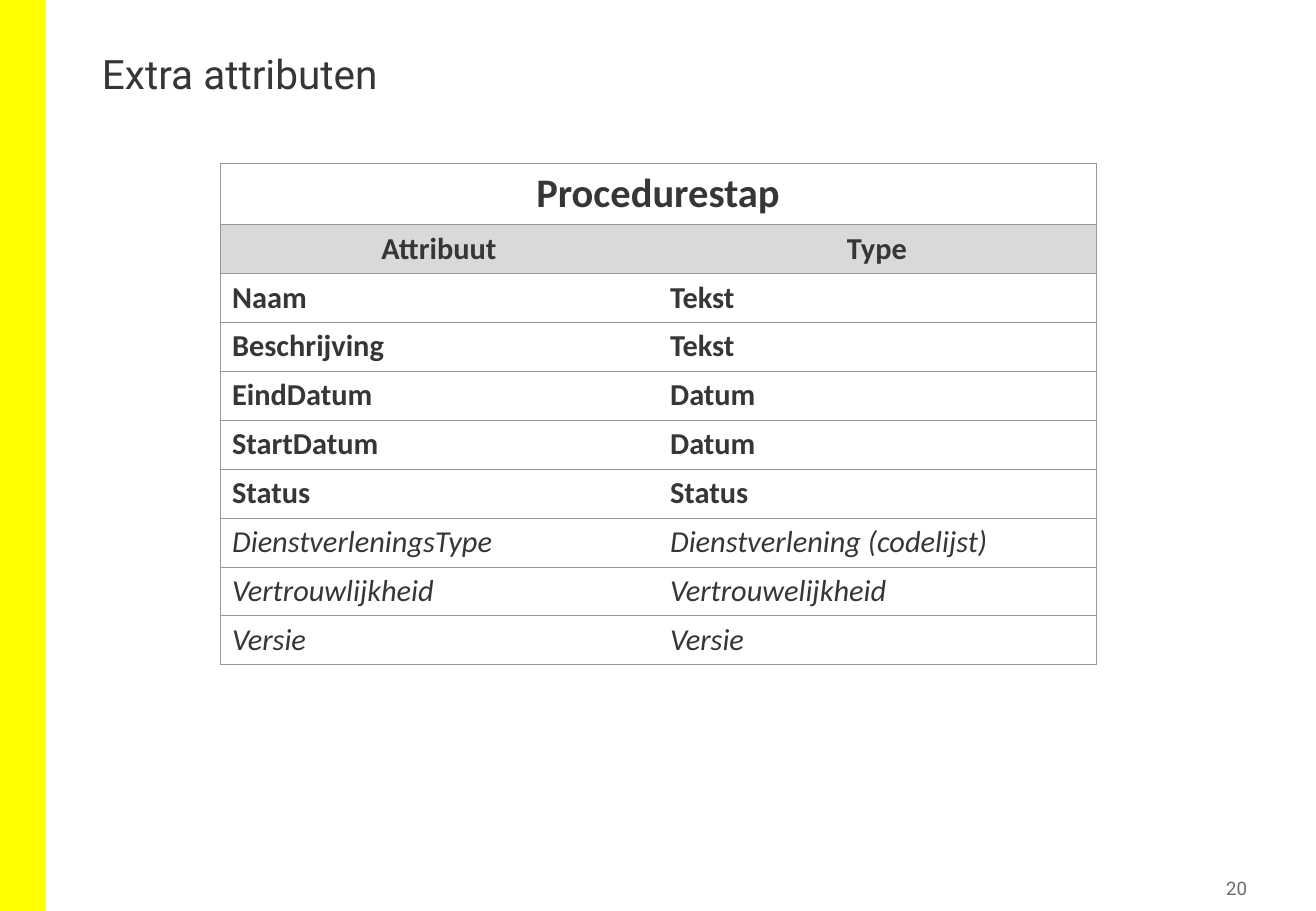
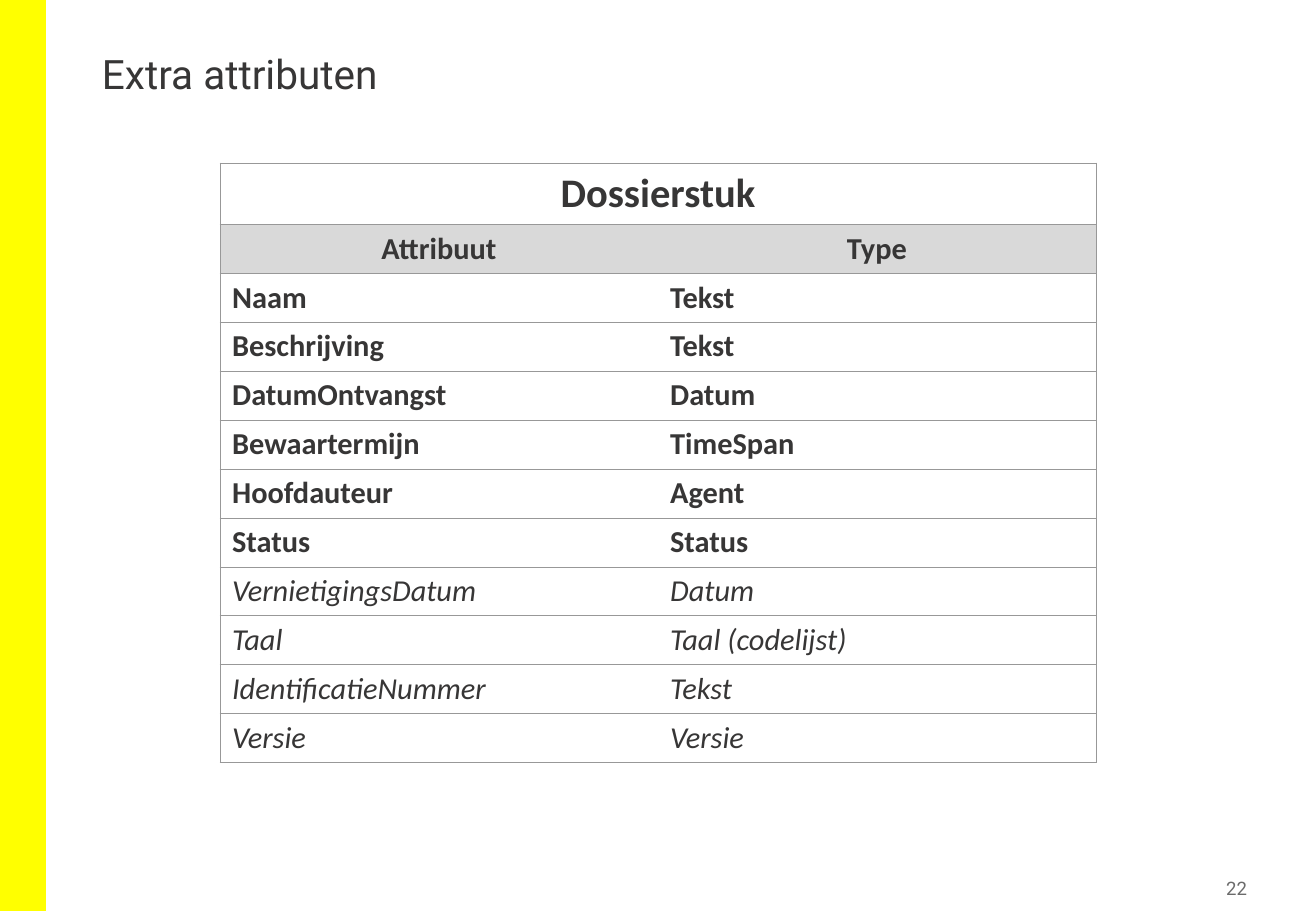
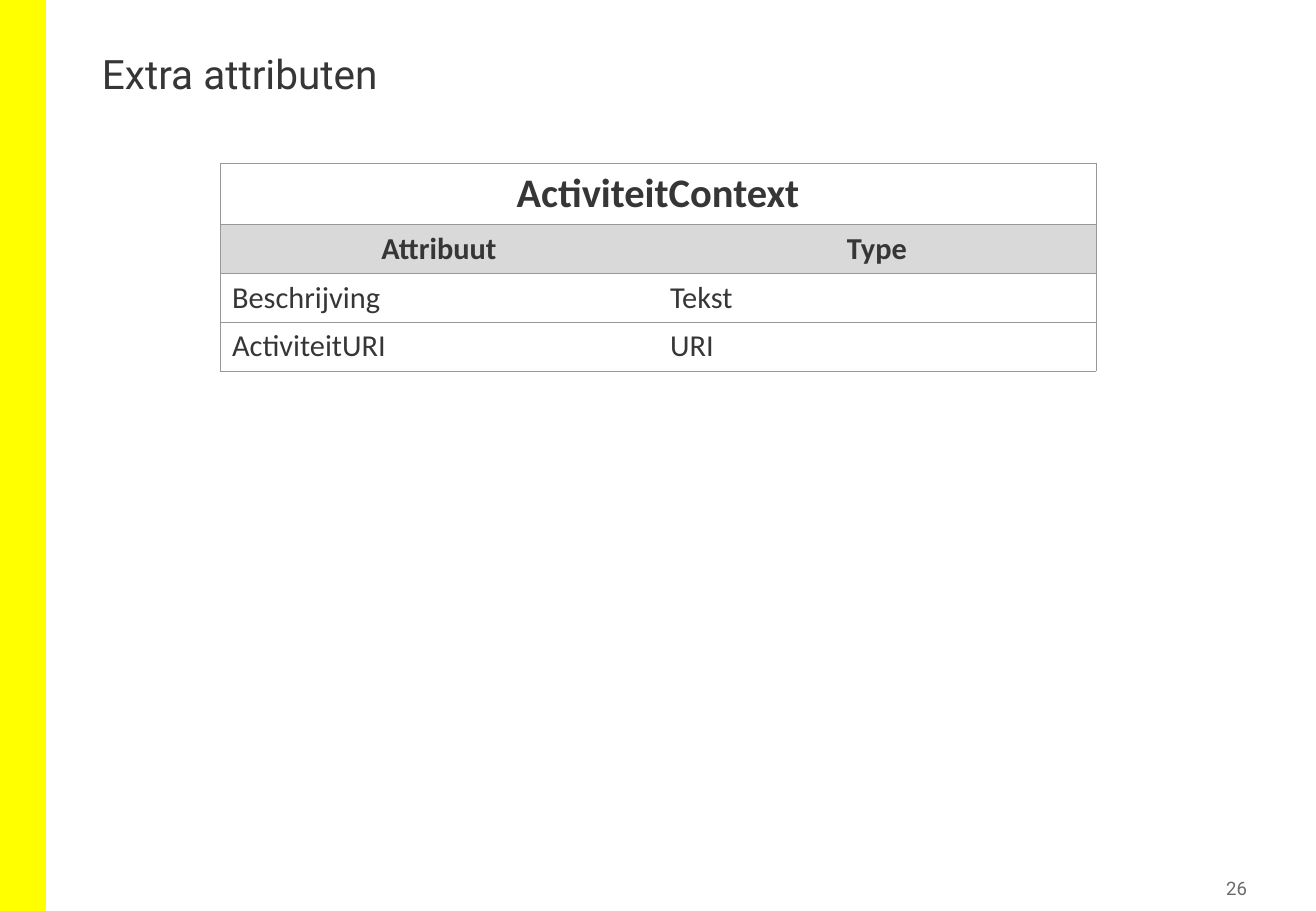
"""Build three slides, each with one table of extra attributes."""
import pptx
import pptx.dml.color
import pptx.enum.shapes
import pptx.enum.text
import pptx.oxml.ns
import pptx.util
import lxml.etree

TITLE = "Extra attributen"
HEADINGS = ("Attribuut", "Type")
TABLES = [
    {
        "number": 20,
        "name": "Procedurestap",
        "bold": [
            ("Naam", "Tekst"),
            ("Beschrijving", "Tekst"),
            ("EindDatum", "Datum"),
            ("StartDatum", "Datum"),
            ("Status", "Status"),
        ],
        "italic": [
            ("DienstverleningsType", "Dienstverlening (codelijst)"),
            ("Vertrouwlijkheid", "Vertrouwelijkheid"),
            ("Versie", "Versie"),
        ],
    },
    {
        "number": 22,
        "name": "Dossierstuk",
        "bold": [
            ("Naam", "Tekst"),
            ("Beschrijving", "Tekst"),
            ("DatumOntvangst", "Datum"),
            ("Bewaartermijn", "TimeSpan"),
            ("Hoofdauteur", "Agent"),
            ("Status", "Status"),
        ],
        "italic": [
            ("VernietigingsDatum", "Datum"),
            ("Taal", "Taal (codelijst)"),
            ("IdentificatieNummer", "Tekst"),
            ("Versie", "Versie"),
        ],
    },
    {
        "number": 26,
        "name": "ActiviteitContext",
        "plain": [("Beschrijving", "Tekst"), ("ActiviteitURI", "URI")],
    },
]

COLOURS = {
    "band": "FFFF00",
    "text": "373636",
    "number": "6B6B6B",
    "line": "989898",
    "heading": "D9D9D9",
    "cell": "FFFFFF",
}
TITLE_FONT, TABLE_FONT = "Roboto", "Calibri"
PAGE_WIDTH, PAGE_HEIGHT = 1316, 911
BAND_WIDTH = 46
TITLE_BOX = (90, 49, 549, 131)
NUMBER_BOX = (1154, 871, 99, 35)
NUMBER_INSET = 6
TABLE_LEFT, TABLE_TOP, COLUMN_WIDTH = 220, 163, 438
NAME_HEIGHT, ROW_HEIGHT = 61, 49
ALIGN = pptx.enum.text.PP_ALIGN


def px(length):
    return pptx.util.Emu(round(length * 914400 / 121.5))


def colour(name):
    return pptx.dml.color.RGBColor.from_string(COLOURS[name])


def add_span(para, text, size, font, ink="text", style="plain"):
    span = para.add_run()
    span.text = text
    span.font.size = pptx.util.Pt(size)
    span.font.name = font
    span.font.color.rgb = colour(ink)
    span.font.bold = style == "bold"
    span.font.italic = style == "italic"


def add_text_box(page, place):
    box = page.shapes.add_textbox(*map(px, place))
    box.text_frame.word_wrap = True
    return box.text_frame


def add_frame(page, number):
    band = page.shapes.add_shape(
        pptx.enum.shapes.MSO_SHAPE.RECTANGLE, 0, 0, px(BAND_WIDTH), px(PAGE_HEIGHT)
    )
    band.shadow.inherit = False
    band.fill.solid()
    band.fill.fore_color.rgb = colour("band")
    band.line.fill.background()

    para = add_text_box(page, TITLE_BOX).paragraphs[0]
    para.line_spacing = 0.9
    add_span(para, TITLE, 24, TITLE_FONT)

    frame = add_text_box(page, NUMBER_BOX)
    frame.margin_left = frame.margin_right = px(NUMBER_INSET)
    frame.margin_top = frame.margin_bottom = px(NUMBER_INSET)
    frame.vertical_anchor = pptx.enum.text.MSO_ANCHOR.MIDDLE
    frame.paragraphs[0].alignment = ALIGN.RIGHT
    add_span(frame.paragraphs[0], str(number), 11, TITLE_FONT, "number")


def set_borders(cell, drawn):
    qn = pptx.oxml.ns.qn
    properties = cell._tc.get_or_add_tcPr()
    for side in "LRTB":
        line = lxml.etree.SubElement(properties, qn(f"a:ln{side}"), w=str(pptx.util.Pt(0.5)))
        if side in drawn:
            fill = lxml.etree.SubElement(line, qn("a:solidFill"))
            lxml.etree.SubElement(fill, qn("a:srgbClr"), val=COLOURS["line"])
        else:
            lxml.etree.SubElement(line, qn("a:noFill"))


def fill_cell(cell, text, size, style, sides, fill="cell", align=ALIGN.LEFT):
    set_borders(cell, sides)
    cell.fill.solid()
    cell.fill.fore_color.rgb = colour(fill)
    para = cell.text_frame.paragraphs[0]
    para.alignment = align
    if text:
        add_span(para, text, size, TABLE_FONT, style=style)


def add_attribute_table(page, content):
    rows = [(HEADINGS, "bold", "heading", ALIGN.CENTER)]
    for style in ("bold", "italic", "plain"):
        rows += [(pair, style, "cell", ALIGN.LEFT) for pair in content.get(style, [])]
    heights = [NAME_HEIGHT] + [ROW_HEIGHT] * len(rows)
    place = (TABLE_LEFT, TABLE_TOP, 2 * COLUMN_WIDTH, sum(heights))
    table = page.shapes.add_table(len(heights), 2, *map(px, place)).table
    table.first_row = table.horz_banding = False
    for column in table.columns:
        column.width = px(COLUMN_WIDTH)
    for row, height in zip(table.rows, heights):
        row.height = px(height)

    table.cell(0, 0).merge(table.cell(0, 1))
    for column, text in enumerate((content["name"], "")):
        fill_cell(table.cell(0, column), text, 24, "bold", "LRTB", align=ALIGN.CENTER)
    for index, (pair, style, fill, align) in enumerate(rows, start=1):
        for column, (text, sides) in enumerate(zip(pair, ("LTB", "RTB"))):
            fill_cell(table.cell(index, column), text, 18, style, sides, fill, align)


def main():
    deck = pptx.Presentation()
    deck.slide_width, deck.slide_height = px(PAGE_WIDTH), px(PAGE_HEIGHT)
    for content in TABLES:
        page = deck.slides.add_slide(deck.slide_layouts[6])
        add_frame(page, content["number"])
        add_attribute_table(page, content)
    deck.save("out.pptx")


if __name__ == "__main__":
    main()
